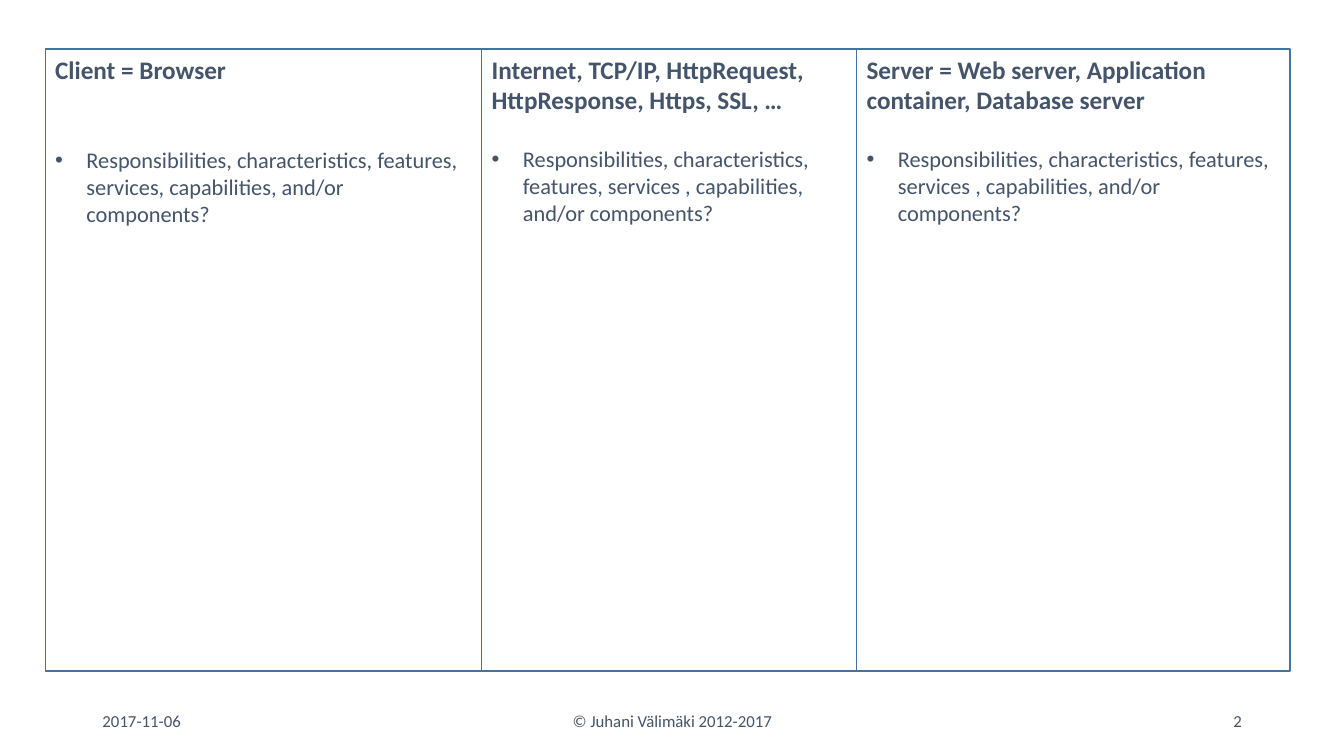
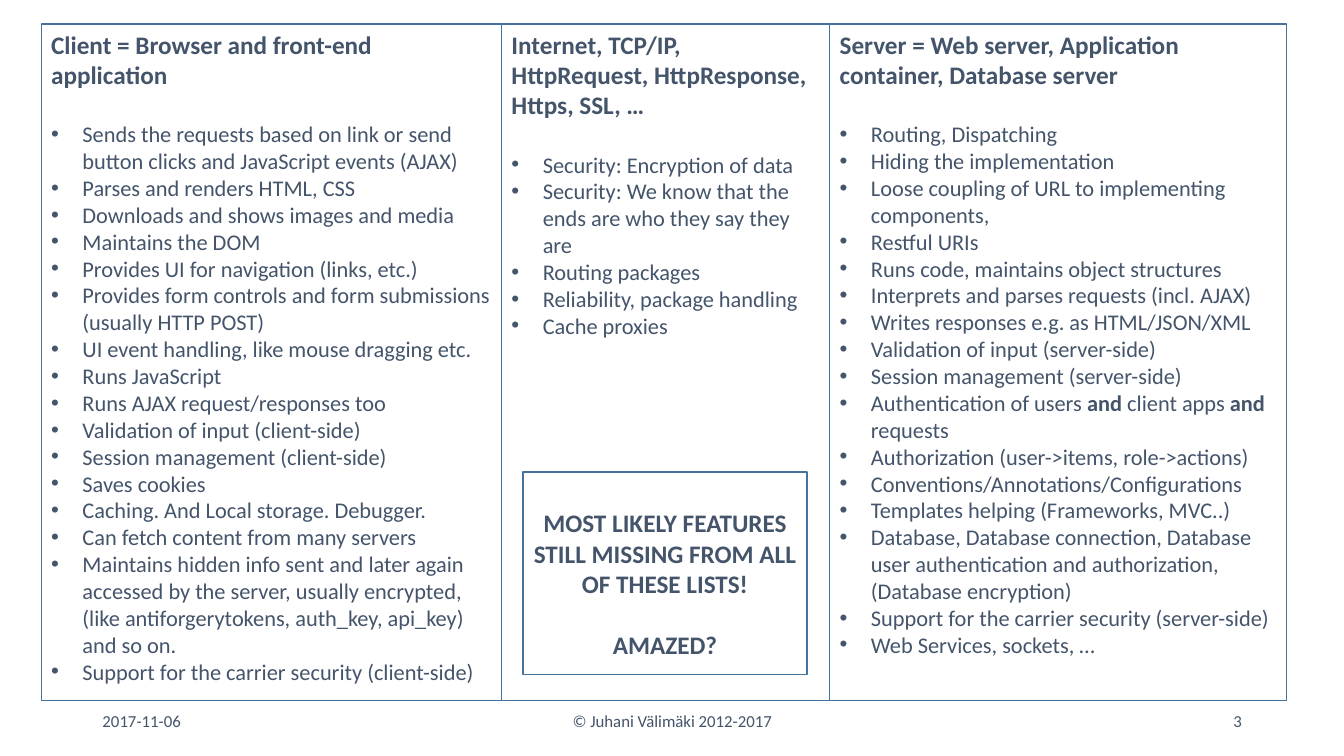
from copy import deepcopy
from dataclasses import dataclass

from lxml import etree
from pptx import Presentation
from pptx.dml.color import RGBColor
from pptx.enum.shapes import MSO_SHAPE
from pptx.enum.text import MSO_ANCHOR, PP_ALIGN
from pptx.oxml.ns import qn
from pptx.util import Cm, Pt


@dataclass(frozen=True)
class Theme:
    font: str = "Calibri"
    ink: RGBColor = RGBColor(0x44, 0x54, 0x6A)
    border: RGBColor = RGBColor(0x43, 0x73, 0x9E)
    border_width: int = Pt(1)
    heading: int = Pt(18)
    heading_line: int = Pt(22)
    bullet: int = Pt(16)
    footer: int = Pt(12)
    indent: int = Cm(0.79)
    inset: int = Cm(0.13)


THEME = Theme()
BLANK_LAYOUT = 6
FIRST_NUMBER = 2
DATE, NOTICE, NUMBER = 10, 11, 12  # placeholder indexes in the layout

# placeholder index: (left, width, alignment), in cm
FOOTER_TOP, FOOTER_HEIGHT = 17.66, 1.01
FOOTERS = {
    DATE: (2.33, 7.62, PP_ALIGN.LEFT),
    NOTICE: (11.23, 11.43, PP_ALIGN.CENTER),
    NUMBER: (23.93, 7.62, PP_ALIGN.RIGHT),
}
FOOTER_TEXT = {DATE: "2017-11-06", NOTICE: "© Juhani Välimäki 2012-2017"}

INTERNET = "Internet, TCP/IP, HttpRequest, HttpResponse, Https, SSL, …"
SERVER = "Server = Web server, Application container, Database server"

# columns: (width in cm, heading, heading lines left free below it, bullets);
# words between ** are bold
SLIDES = [
    {
        "origin": (1.14, 1.24),
        "height": 15.67,
        "columns": [
            (11, "Client = Browser", 2, [
                "Responsibilities, characteristics, features, services, capabilities, and/or components?",
            ]),
            (9.45, INTERNET, 1, [
                "Responsibilities, characteristics, features, services , capabilities, and/or components?",
            ]),
            (10.92, SERVER, 1, [
                "Responsibilities, characteristics, features, services , capabilities, and/or components?",
            ]),
        ],
    },
    {
        "origin": (1.04, 0.61),
        "height": 17.04,
        "columns": [
            (11.6, "Client = Browser and front-end application", 1, [
                "Sends the requests based on link or send button clicks and JavaScript events (AJAX)",
                "Parses and renders HTML, CSS",
                "Downloads and shows images and media",
                "Maintains the DOM",
                "Provides UI for navigation (links, etc.)",
                "Provides form controls and form submissions (usually HTTP POST)",
                "UI event handling, like mouse dragging etc.",
                "Runs JavaScript",
                "Runs AJAX request/responses too",
                "Validation of input (client-side)",
                "Session management (client-side)",
                "Saves cookies",
                "Caching. And Local storage. Debugger.",
                "Can fetch content from many servers",
                "Maintains hidden info sent and later again accessed by the server, usually encrypted, "
                "(like antiforgerytokens, auth_key, api_key) and so on.",
                "Support for the carrier security (client-side)",
            ]),
            (8.27, INTERNET, 1, [
                "Security: Encryption of data",
                "Security: We know that the ends are who they say they are",
                "Routing packages",
                "Reliability, package handling",
                "Cache proxies",
            ]),
            (11.51, SERVER, 1, [
                "Routing, Dispatching",
                "Hiding the implementation",
                "Loose coupling of URL to implementing components,",
                "Restful URIs",
                "Runs code, maintains object structures",
                "Interprets and parses requests (incl. AJAX)",
                "Writes responses e.g. as HTML/JSON/XML",
                "Validation of input (server-side)",
                "Session management (server-side)",
                "Authentication of users **and **client apps **and **requests",
                "Authorization (user->items, role->actions)",
                "Conventions/Annotations/Configurations",
                "Templates helping (Frameworks, MVC..)",
                "Database, Database connection, Database user authentication and authorization, "
                "(Database encryption)",
                "Support for the carrier security (server-side)",
                "Web Services, sockets, …",
            ]),
        ],
        "callout": {
            "box": (13.18, 11.89, 7.16, 5.11),
            "lines": ["MOST LIKELY FEATURES STILL MISSING FROM ALL OF THESE LISTS!", "AMAZED?"],
        },
    },
]


def format_runs(p, size, bold=False):
    for r in p.runs:
        r.font.name, r.font.size, r.font.bold = THEME.font, size, bold
        r.font.color.rgb = THEME.ink


def add_box(slide, left, top, width, height):
    """Add an outlined, unfilled rectangle whose text starts at the top."""
    sp = slide.shapes.add_shape(MSO_SHAPE.RECTANGLE, Cm(left), Cm(top), Cm(width), Cm(height))
    sp.shadow.inherit = False
    sp.fill.background()
    sp.line.color.rgb, sp.line.width = THEME.border, THEME.border_width
    tf = sp.text_frame
    tf.word_wrap, tf.vertical_anchor = True, MSO_ANCHOR.TOP
    return tf


def add_heading(p, text, lines_below, align):
    p.text, p.alignment = text, align
    p.space_after = THEME.heading_line * lines_below
    format_runs(p, THEME.heading, bold=True)


def add_bullet(tf, text):
    p = tf.add_paragraph()
    p.alignment = PP_ALIGN.LEFT
    for i, part in enumerate(text.split("**")):
        p.add_run().text = part
        format_runs_from = p.runs[-1]
        format_runs_from.font.bold = i % 2 == 1
    for r in p.runs:
        r.font.name, r.font.size = THEME.font, THEME.bullet
        r.font.color.rgb = THEME.ink
    pPr = p._p.get_or_add_pPr()
    pPr.set("marL", str(THEME.indent))
    pPr.set("indent", str(-THEME.indent))
    etree.SubElement(pPr, qn("a:buFont"), typeface="Arial")
    etree.SubElement(pPr, qn("a:buChar"), char="•")


def add_columns(slide, origin, height, columns):
    left, top = origin
    for width, heading, lines_below, bullets in columns:
        tf = add_box(slide, left, top, width, height)
        add_heading(tf.paragraphs[0], heading, lines_below, PP_ALIGN.LEFT)
        for text in bullets:
            add_bullet(tf, text)
        left += width


def add_callout(slide, box, lines):
    tf = add_box(slide, *box)
    tf.margin_top = THEME.inset + THEME.heading_line
    for i, text in enumerate(lines):
        p = tf.add_paragraph() if i else tf.paragraphs[0]
        add_heading(p, text, 1 if i < len(lines) - 1 else 0, PP_ALIGN.CENTER)


def place_footers(layout):
    for sp in layout.placeholders:
        left, width, _ = FOOTERS[sp.placeholder_format.idx]
        sp.left, sp.top = Cm(left), Cm(FOOTER_TOP)
        sp.width, sp.height = Cm(width), Cm(FOOTER_HEIGHT)


def add_footers(slide, number):
    """Bring the layout's date, footer and number placeholders to the slide."""
    for source in slide.slide_layout.placeholders:
        slide.shapes._spTree.append(deepcopy(source._element))
    for sp in slide.placeholders:
        idx = sp.placeholder_format.idx
        tf = sp.text_frame
        tf.text = FOOTER_TEXT.get(idx, str(number))
        tf.vertical_anchor = MSO_ANCHOR.MIDDLE
        p = tf.paragraphs[0]
        p.alignment = FOOTERS[idx][2]
        format_runs(p, THEME.footer)


def main():
    prs = Presentation()
    prs.slide_width, prs.slide_height = Cm(33.87), Cm(19.05)
    layout = prs.slide_layouts[BLANK_LAYOUT]
    place_footers(layout)
    for number, content in enumerate(SLIDES, FIRST_NUMBER):
        slide = prs.slides.add_slide(layout)
        add_columns(slide, content["origin"], content["height"], content["columns"])
        add_footers(slide, number)
        if "callout" in content:
            add_callout(slide, **content["callout"])
    prs.save("out.pptx")


if __name__ == "__main__":
    main()
